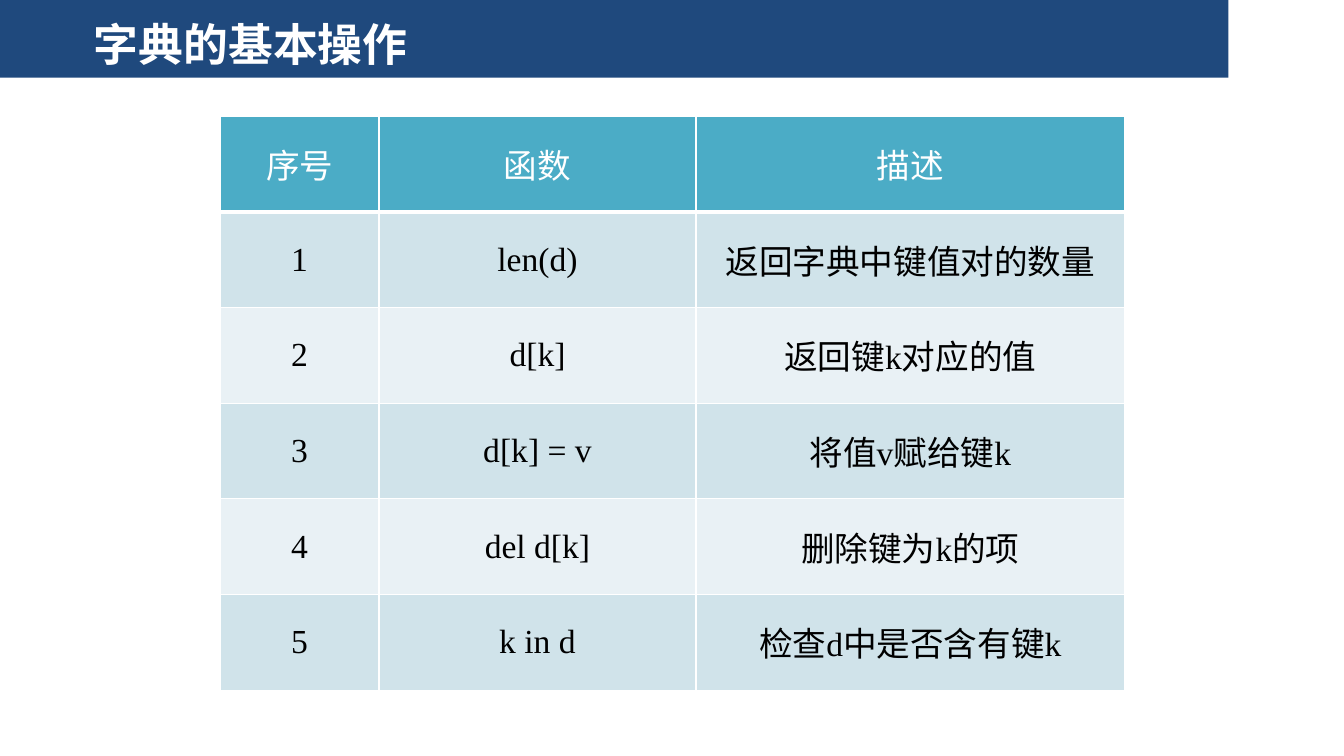
from lxml.etree import SubElement
from pptx import Presentation
from pptx.dml.color import RGBColor
from pptx.enum.shapes import MSO_SHAPE as Shape
from pptx.enum.text import MSO_ANCHOR as Anchor, MSO_AUTO_SIZE as AutoSize, PP_ALIGN as Align
from pptx.oxml.ns import qn
from pptx.util import Cm, Pt

NAVY = RGBColor(0x1F, 0x49, 0x7D)
TEAL = RGBColor(0x4B, 0xAC, 0xC6)
BAND_DARK = RGBColor(0xD0, 0xE3, 0xEA)
BAND_LIGHT = RGBColor(0xE9, 0xF1, 0xF5)
WHITE = RGBColor(0xFF, 0xFF, 0xFF)
BLACK = RGBColor(0x00, 0x00, 0x00)

CHINESE_FONT = "Noto Sans CJK SC"
LATIN_FONT = "Times New Roman"

OPERATIONS = [
    ("序号", "函数", "描述"),
    ("1", "len(d)", "返回字典中键值对的数量"),
    ("2", "d[k]", "返回键k对应的值"),
    ("3", "d[k] = v", "将值v赋给键k"),
    ("4", "del d[k]", "删除键为k的项"),
    ("5", "k in d", "检查d中是否含有键k"),
]
COLUMN_WIDTHS = [Cm(4), Cm(7.99), Cm(10.8)]
ROW_HEIGHT = Cm(2.41)
HEADER_BORDERS = {"a:lnL": 1, "a:lnR": 1, "a:lnT": 1, "a:lnB": 3}


def format_paragraph(paragraph, size, latin, color, bold, align):
    paragraph.alignment = align
    font = paragraph.font
    font.size, font.bold = Pt(size), bold
    font.color.rgb = color
    font.name = latin
    defaults = paragraph._p.pPr.find(qn("a:defRPr"))
    SubElement(defaults, qn("a:ea"), typeface=CHINESE_FONT)


def add_banner(slide):
    banner = slide.shapes.add_shape(Shape.RECTANGLE, 0, 0, Cm(30.96), Cm(1.96))
    banner.shadow.inherit = False
    banner.fill.solid()
    banner.fill.fore_color.rgb = NAVY
    banner.line.fill.background()
    slide.shapes._spTree.insert(2, banner._element)


def set_title(slide, text):
    title = slide.shapes.title
    title.left, title.top = Cm(2.11), Cm(0.2)
    title.width, title.height = Cm(28.83), Cm(1.78)
    frame = title.text_frame
    frame.text = text
    frame.auto_size = AutoSize.NONE
    frame.vertical_anchor = Anchor.MIDDLE
    format_paragraph(frame.paragraphs[0], 32, CHINESE_FONT, WHITE, True, Align.LEFT)


def set_header_borders(cell):
    properties = cell._tc.get_or_add_tcPr()
    for position, (side, points) in enumerate(HEADER_BORDERS.items()):
        border = SubElement(properties, qn(side), w=str(Pt(points)))
        paint = SubElement(border, qn("a:solidFill"))
        SubElement(paint, qn("a:srgbClr"), val=str(WHITE))
        properties.insert(position, border)


def fill_cell(cell, text, background, color):
    cell.text = text
    cell.vertical_anchor = Anchor.MIDDLE
    cell.fill.solid()
    cell.fill.fore_color.rgb = background
    format_paragraph(cell.text_frame.paragraphs[0], 24, LATIN_FONT, color, False, Align.CENTER)


def add_operations_table(slide):
    frame = slide.shapes.add_table(
        len(OPERATIONS), len(COLUMN_WIDTHS), Cm(5.55), Cm(2.93),
        sum(COLUMN_WIDTHS), ROW_HEIGHT * len(OPERATIONS))
    table = frame.table
    for column, width in zip(table.columns, COLUMN_WIDTHS):
        column.width = width
    for index, operation in enumerate(OPERATIONS):
        table.rows[index].height = ROW_HEIGHT
        band = BAND_DARK if index % 2 else BAND_LIGHT
        for cell, text in zip(table.rows[index].cells, operation):
            if index == 0:
                fill_cell(cell, text, TEAL, WHITE)
                set_header_borders(cell)
            else:
                fill_cell(cell, text, band, BLACK)


def main():
    deck = Presentation()
    deck.slide_width, deck.slide_height = Cm(33.87), Cm(19.05)
    slide = deck.slides.add_slide(deck.slide_layouts[5])
    add_banner(slide)
    set_title(slide, "字典的基本操作")
    add_operations_table(slide)
    deck.save("out.pptx")


if __name__ == "__main__":
    main()
